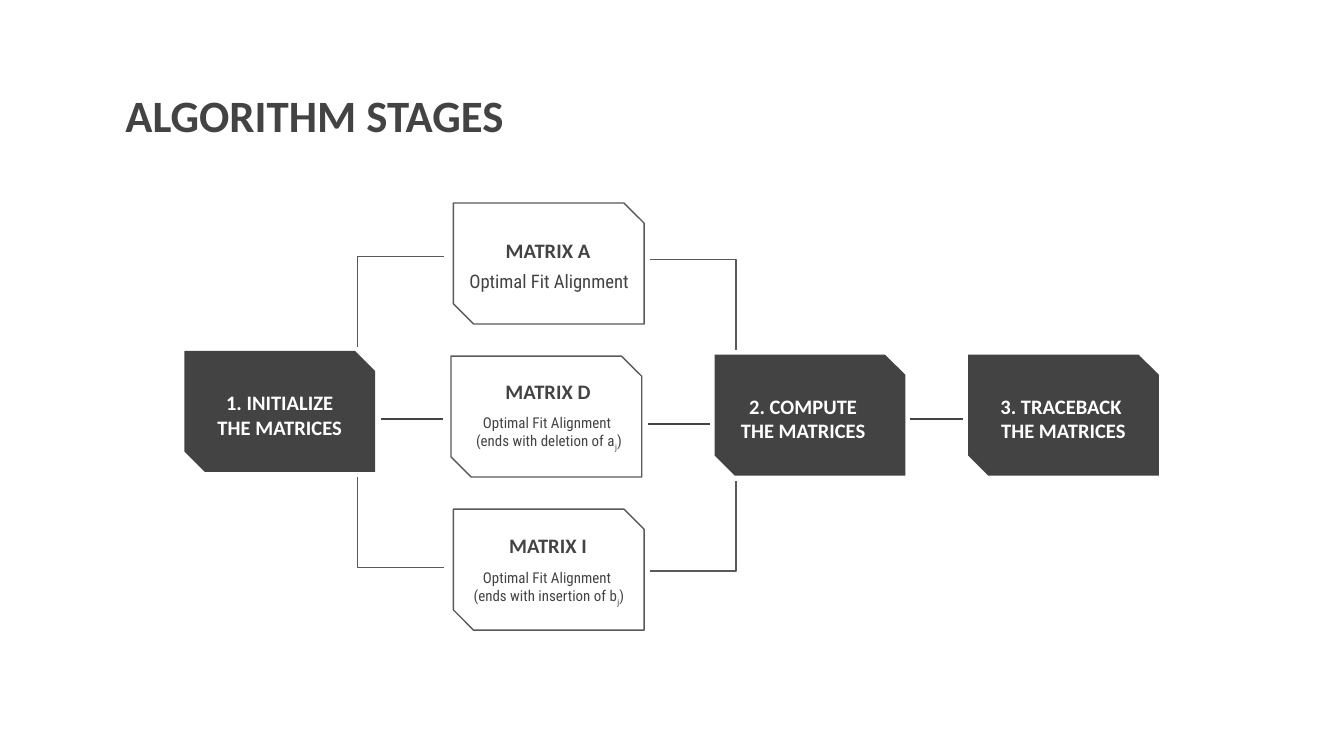
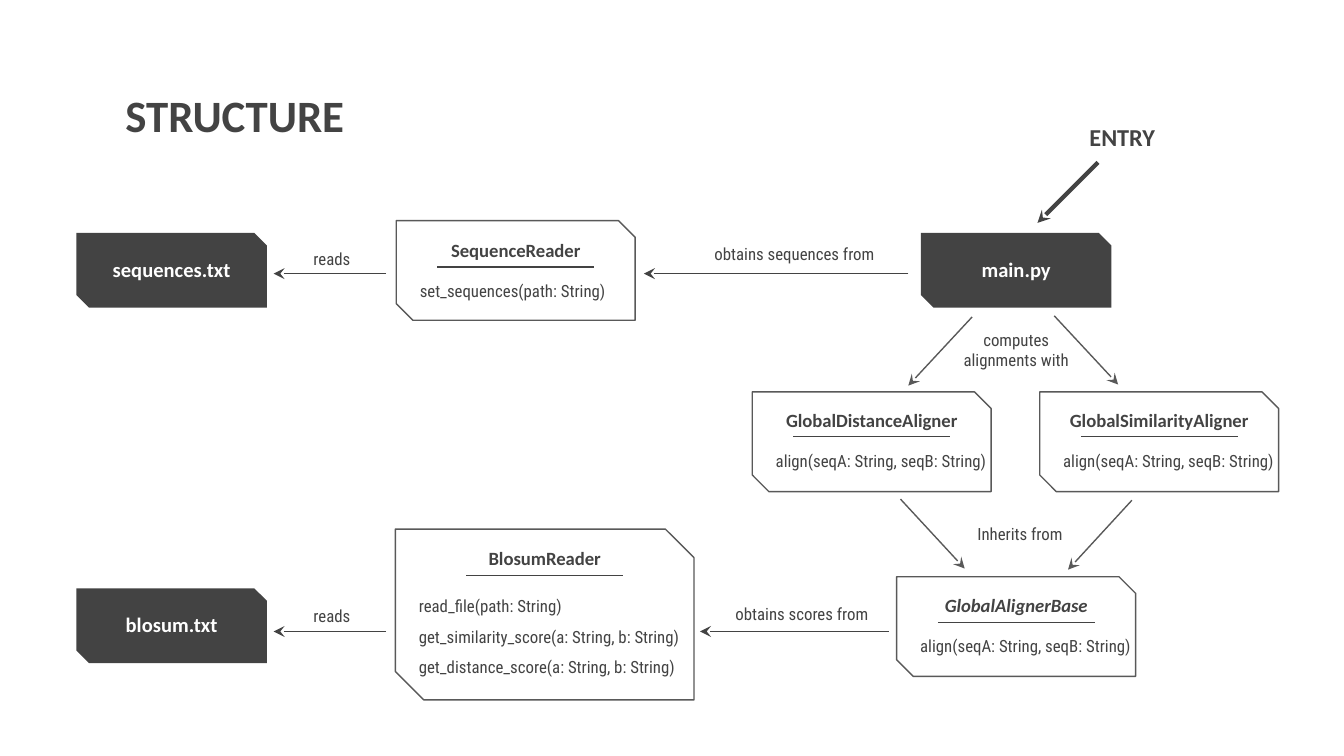
from dataclasses import dataclass
from typing import NamedTuple

from lxml import etree
from pptx import Presentation
from pptx.dml.color import RGBColor
from pptx.enum.shapes import MSO_CONNECTOR, MSO_SHAPE
from pptx.enum.text import MSO_ANCHOR, MSO_AUTO_SIZE, PP_ALIGN
from pptx.oxml.ns import qn
from pptx.util import Pt

SNIPPED = MSO_SHAPE.SNIP_2_DIAG_RECTANGLE
STRAIGHT, ELBOW = MSO_CONNECTOR.STRAIGHT, MSO_CONNECTOR.ELBOW
TOP, MIDDLE, BOTTOM = MSO_ANCHOR.TOP, MSO_ANCHOR.MIDDLE, MSO_ANCHOR.BOTTOM
LEFT, CENTER = PP_ALIGN.LEFT, PP_ALIGN.CENTER
NO_FIT = MSO_AUTO_SIZE.NONE
TITLE_ONLY = 5


# Theme: colours, fonts and type sizes
@dataclass(frozen=True)
class Theme:
    dark: RGBColor = RGBColor(0x43, 0x43, 0x43)
    outline: RGBColor = RGBColor(0x59, 0x59, 0x59)
    light: RGBColor = RGBColor(0xFF, 0xFF, 0xFF)
    display: str = "Calibri"
    body: str = "Roboto Condensed"
    title_size: float = 24
    entry_size: float = 13
    block_size: float = 11
    class_size: float = 10
    caption_size: float = 10
    label_size: float = 9
    note_size: float = 8
    inset: float = 7.2
    hairline: float = 0.75
    thick: float = 2.25


THEME = Theme()


def display_style(size: float, italic: bool = False) -> dict:
    return {"name": THEME.display, "size": Pt(size), "bold": True, "italic": italic}


def body_style(size: float) -> dict:
    return {"name": THEME.body, "size": Pt(size), "bold": False}


TITLE = display_style(THEME.title_size)
ENTRY = display_style(THEME.entry_size)
BLOCK = display_style(THEME.block_size)
CLASS_NAME = display_style(THEME.class_size)
ABSTRACT_NAME = display_style(THEME.class_size, italic=True)
CAPTION = body_style(THEME.caption_size)
LABEL = body_style(THEME.label_size)
NOTE = body_style(THEME.note_size)


# Repeated elements
class Box(NamedTuple):
    left: float
    top: float
    width: float
    height: float

    def lengths(self) -> tuple:
        return tuple(Pt(length) for length in self)


class Point(NamedTuple):
    x: float
    y: float


class Link(NamedTuple):
    start: Point
    end: Point
    color: RGBColor = THEME.dark
    arrow: bool = False
    weight: float = THEME.hairline


class Block(NamedTuple):
    text: str
    box: Box
    text_shift: float = 0


class Matrix(NamedTuple):
    name: str
    caption: tuple
    style: dict
    box: Box
    name_top: float
    caption_top: float


class ClassCard(NamedTuple):
    name: str
    methods: tuple
    box: Box
    rule_y: float
    style: dict = CLASS_NAME
    methods_drop: float = 0


class Note(NamedTuple):
    text: str
    box: Box


# Text
def write_runs(paragraph, runs: tuple, style: dict, color: RGBColor) -> None:
    """Runs alternate between normal and subscript text."""
    for position, content in enumerate(runs):
        for row, line in enumerate(content.split("\n")):
            if row:
                paragraph.add_line_break()
            run = paragraph.add_run()
            run.text = line
            for attribute, value in style.items():
                setattr(run.font, attribute, value)
            run.font.color.rgb = color
            if position % 2:
                run._r.get_or_add_rPr().set("baseline", "-25000")


def format_frame(frame, anchor) -> None:
    values = {"word_wrap": True, "auto_size": NO_FIT, "vertical_anchor": anchor}
    for side in ("left", "right", "top", "bottom"):
        values[f"margin_{side}"] = Pt(THEME.inset)
    for attribute, value in values.items():
        setattr(frame, attribute, value)


def add_text(slide, box: Box, paragraphs: list, style: dict, color: RGBColor = THEME.dark,
             align=CENTER, anchor=TOP) -> None:
    frame = slide.shapes.add_textbox(*box.lengths()).text_frame
    format_frame(frame, anchor)
    for index, runs in enumerate(paragraphs):
        paragraph = frame.add_paragraph() if index else frame.paragraphs[0]
        paragraph.alignment = align
        if len(paragraphs) > 1:
            paragraph.line_spacing = 1.15
        if index:
            paragraph.space_before = Pt(4)
        write_runs(paragraph, runs, style, color)


def add_titled_slide(deck, title: str):
    slide = deck.slides.add_slide(deck.slide_layouts[TITLE_ONLY])
    heading = slide.shapes.title
    heading.left, heading.top, heading.width, heading.height = Box(60, 39, 448, 45).lengths()
    format_frame(heading.text_frame, MIDDLE)
    paragraph = heading.text_frame.paragraphs[0]
    paragraph.alignment = LEFT
    write_runs(paragraph, (title,), TITLE, THEME.dark)
    return slide


# Shapes and lines
def add_snipped(slide, box: Box, filled: bool) -> None:
    card = slide.shapes.add_shape(SNIPPED, *box.lengths())
    card.shadow.inherit = False
    card.adjustments[0], card.adjustments[1] = 0, 0.167
    if filled:
        card.fill.solid()
        card.fill.fore_color.rgb = THEME.dark
        card.line.fill.background()
    else:
        card.fill.background()
        card.line.color.rgb = THEME.outline
        card.line.width = Pt(THEME.hairline)


def add_link(slide, link: Link, kind=STRAIGHT):
    ends = [Pt(value) for value in (*link.start, *link.end)]
    connector = slide.shapes.add_connector(kind, *ends)
    connector.line.color.rgb = link.color
    connector.line.width = Pt(link.weight)
    properties = connector.element.spPr
    if link.arrow:
        etree.SubElement(properties.find(qn("a:ln")), qn("a:tailEnd"), type="stealth")
    etree.SubElement(properties, qn("a:effectLst"))
    return connector


def add_corner(slide, start: Point, end: Point) -> None:
    """One bend, horizontal at the start: a quarter-turned elbow bent at its first edge."""
    middle = Point((start.x + end.x) / 2, (start.y + end.y) / 2)
    turn = 1 if start.x > end.x else -1
    across, down = turn * (start.y - middle.y), -turn * (start.x - middle.x)
    frame = Link(Point(middle.x + across, middle.y + down),
                 Point(middle.x - across, middle.y - down), THEME.outline)
    properties = add_link(slide, frame, ELBOW).element.spPr
    properties.find(qn("a:xfrm")).set("rot", str(turn % 4 * 90 * 60000))
    guides = properties.find(qn("a:prstGeom")).find(qn("a:avLst"))
    etree.SubElement(guides, qn("a:gd"), name="adj1", fmla="val 0")


def add_block(slide, block: Block, text_drop: float, text_height: float) -> None:
    add_snipped(slide, block.box, filled=True)
    left, top, width, _ = block.box
    area = Box(left - 5 + block.text_shift, top + text_drop, width + 10, text_height)
    add_text(slide, area, [(block.text,)], BLOCK, THEME.light, anchor=BOTTOM)


def add_matrix(slide, matrix: Matrix) -> None:
    add_snipped(slide, matrix.box, filled=False)
    add_text(slide, Box(237.6, matrix.name_top, 112, 39), [(matrix.name,)], BLOCK, anchor=BOTTOM)
    add_text(slide, Box(235.4, matrix.caption_top, 117.4, 28), [matrix.caption], matrix.style)


def add_class(slide, card: ClassCard) -> None:
    add_snipped(slide, card.box, filled=False)
    left, _, width, _ = card.box
    center, rule_y = left + width / 2, card.rule_y
    add_text(slide, Box(center - 65, rule_y - 17, 130, 21), [(card.name,)], card.style,
             anchor=BOTTOM)
    add_link(slide, Link(Point(center - 42, rule_y), Point(center + 42, rule_y)))
    add_text(slide, Box(left + 5.5, rule_y + card.methods_drop, width + 2, 26 * len(card.methods)),
             [(method,) for method in card.methods], LABEL, align=LEFT)


# Slide 1: algorithm stages
def build_stages(deck) -> None:
    slide = add_titled_slide(deck, "ALGORITHM STAGES")
    width, height = 102.2, 64.8
    stages = [
        Block("1. INITIALIZE\nTHE MATRICES", Box(98.8, 188, width, height)),
        Block("2. COMPUTE\nTHE MATRICES", Box(382.8, 190, width, height), -3.6),
        Block("3. TRACEBACK \nTHE MATRICES", Box(518.6, 190, width, height)),
    ]
    for stage in stages:
        add_block(slide, stage, 10.5, 44)

    fit = "Optimal Fit Alignment"
    matrices = [
        Matrix("MATRIX A", (fit,), CAPTION, Box(242.9, 108.8, width, height), 108.7, 137.5),
        Matrix("MATRIX D", (f"{fit} \n(ends with deletion of a", "j", ")"), NOTE,
               Box(241.6, 190.8, width, height), 184.3, 214.6),
        Matrix("MATRIX I", (f"{fit} \n(ends with insertion of b", "j", ")"), NOTE,
               Box(242.9, 272.8, width, height), 267.1, 297.4),
    ]
    for matrix in matrices:
        add_matrix(slide, matrix)

    corners = [
        (Point(237.8, 137.4), Point(191.6, 186)),
        (Point(237.8, 304.2), Point(191.6, 255.6)),
        (Point(348.3, 139.2), Point(394.4, 187.4)),
        (Point(348.3, 305.9), Point(394.4, 257.7)),
    ]
    for start, end in corners:
        add_corner(slide, start, end)
    for left, right, y in ((204, 237.4, 224.4), (347, 380.4, 227.2), (487.6, 516, 224.4)):
        add_link(slide, Link(Point(left, y), Point(right, y)))


# Slide 2: program structure
def build_structure(deck) -> None:
    slide = add_titled_slide(deck, "STRUCTURE")
    files = [
        Block("sequences.txt", Box(41, 124.8, 102, 40)),
        Block("blosum.txt", Box(41, 315.2, 102, 40)),
        Block("main.py", Box(493.4, 124.8, 102, 40)),
    ]
    for file in files:
        add_block(slide, file, 7.2, 26)

    width, height = 128, 53.4
    align_method = ("align(seqA: String, seqB: String)",)
    classes = [
        ClassCard("SequenceReader", ("set_sequences(path: String)",),
                  Box(212.3, 118.2, width, height), 143),
        ClassCard("BlosumReader",
                  ("read_file(path: String)", "get_similarity_score(a: String, b: String)",
                   "get_distance_score(a: String, b: String)"),
                  Box(211.8, 283.5, 160, 91.5), 308.2, methods_drop=2.2),
        ClassCard("GlobalDistanceAligner", align_method, Box(403, 210, width, height), 234),
        ClassCard("GlobalSimilarityAligner", align_method, Box(557, 210, width, height), 234),
        ClassCard("GlobalAlignerBase", align_method, Box(480.4, 309, width, height), 333.4,
                  ABSTRACT_NAME),
    ]
    for card in classes:
        add_class(slide, card)

    # Relations between files and classes
    flows = [(206.8, 146.6, 146.6), (486.6, 345, 146.6), (206.8, 146.6, 338.3), (476, 375, 338.3)]
    for right, left, y in flows:
        add_link(slide, Link(Point(right, y), Point(left, y), arrow=True))
    diagonals = [
        (Point(520.8, 169.8), Point(486.6, 206.6)),
        (Point(564.8, 169.2), Point(599, 206)),
        (Point(606.4, 268), Point(572.2, 305.2)),
        (Point(482.4, 267.4), Point(516.8, 304.6)),
    ]
    for start, end in diagonals:
        add_link(slide, Link(start, end, THEME.outline, arrow=True))
    notes = [
        Note("reads", Box(139.8, 126, 76, 26)),
        Note("reads", Box(139.8, 317.5, 76, 26)),
        Note("obtains sequences from", Box(371.6, 123.6, 108, 21)),
        Note("obtains scores from", Box(375.6, 316.2, 108, 26)),
        Note("computes\nalignments with", Box(490.4, 169.2, 108, 36)),
        Note("Inherits from", Box(492.4, 273.6, 108, 26)),
    ]
    for note in notes:
        add_text(slide, note.box, [(note.text,)], LABEL)

    # Entry point
    add_text(slide, Box(576.6, 58.4, 56.4, 26), [("ENTRY",)], ENTRY, align=LEFT)
    add_link(slide, Link(Point(588.2, 87), Point(555.8, 119.4), arrow=True, weight=THEME.thick))


def main() -> None:
    deck = Presentation()
    deck.slide_width, deck.slide_height = Pt(720), Pt(405)
    build_stages(deck)
    build_structure(deck)
    deck.save("out.pptx")


if __name__ == "__main__":
    main()
